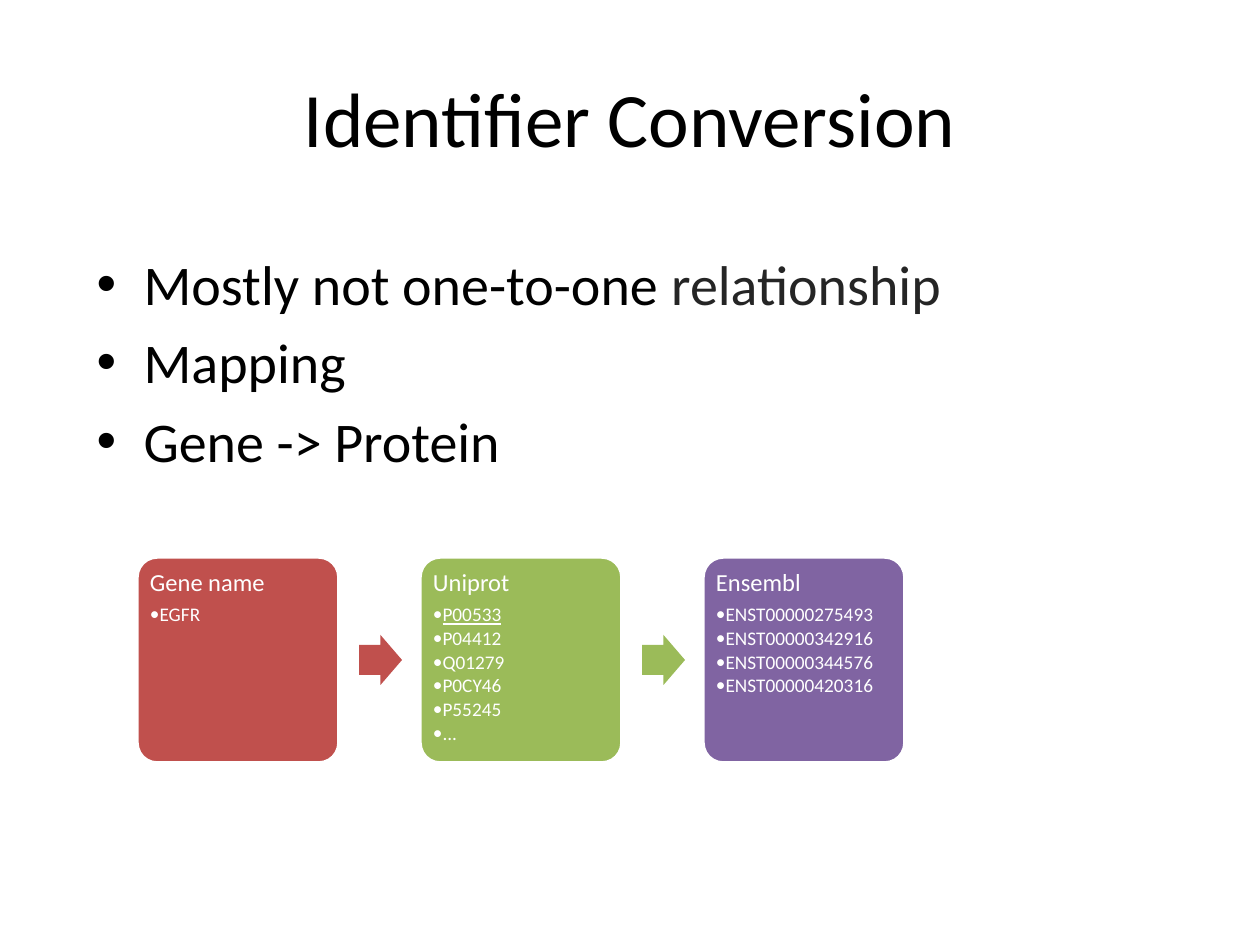
from lxml import etree
from pptx import Presentation
from pptx.dml.color import RGBColor
from pptx.enum.shapes import MSO_SHAPE
from pptx.enum.text import MSO_ANCHOR, PP_ALIGN
from pptx.oxml.ns import qn
from pptx.util import Pt

ROUND, ARROW = MSO_SHAPE.ROUNDED_RECTANGLE, MSO_SHAPE.RIGHT_ARROW
TOP, MIDDLE = MSO_ANCHOR.TOP, MSO_ANCHOR.MIDDLE
LEFT, CENTER = PP_ALIGN.LEFT, PP_ALIGN.CENTER
SCALE = 914400 / 126
FONT = "Calibri"
HEX = {"black": "000000", "gray": "252525", "white": "FFFFFF",
       "red": "C0504D", "green": "9BBB59", "purple": "8064A2"}

POINTS = [
    [("Mostly not one-to-one ", "black"), ("relationship", "gray")],
    [("Mapping", "black")],
    [("Gene -> Protein", "black")],
]
CARDS = [
    ("Gene name", "red", ["EGFR"]),
    ("Uniprot", "green",
     ["P00533", "P04412", "Q01279", "P0CY46", "P55245", "..."]),
    ("Ensembl", "purple",
     ["ENST00000275493", "ENST00000342916",
      "ENST00000344576", "ENST00000420316"]),
]
LINKED = {"P00533"}


def px(n):
    return round(n * SCALE)


def rgb(name):
    return RGBColor.from_string(HEX[name])


def apply(item, **values):
    for key, value in values.items():
        setattr(item, key, value)


def place(shape, box):
    keys = ("left", "top", "width", "height")
    apply(shape, **dict(zip(keys, map(px, box))))


def add_run(para, text, size, color, **values):
    run = para.add_run()
    run.text = text
    apply(run.font, name=FONT, size=Pt(size), **values)
    run.font.color.rgb = rgb(color)


def next_para(frame, index):
    return frame.add_paragraph() if index else frame.paragraphs[0]


def add_bullet(para, indent, mark, font):
    props = para._p.get_or_add_pPr()
    props.set("marL", str(px(indent)))
    props.set("indent", str(-px(indent)))
    etree.SubElement(props, qn("a:buFont")).set("typeface", font)
    etree.SubElement(props, qn("a:buChar")).set("char", mark)


def add_shape(slide, kind, box, color, adjust):
    shape = slide.shapes.add_shape(kind, *map(px, box))
    shape.shadow.inherit = False
    shape.fill.solid()
    shape.fill.fore_color.rgb = rgb(color)
    shape.line.fill.background()
    for i, value in enumerate(adjust):
        shape.adjustments[i] = value
    return shape


def add_title(slide, box):
    title = slide.shapes.title
    place(title, box)
    title.text_frame.vertical_anchor = MIDDLE
    para = title.text_frame.paragraphs[0]
    para.alignment = CENTER
    add_run(para, "Identifier Conversion", 44, "black")


def add_list(slide, box):
    body = slide.placeholders[1]
    place(body, box)
    for i, parts in enumerate(POINTS):
        para = next_para(body.text_frame, i)
        add_bullet(para, 47, "•", "Arial")
        para.space_before = Pt(6.4 if i else 0)
        for text, color in parts:
            add_run(para, text, 32, color)


def add_card(slide, box, head, color, items):
    left, top, width, height = box
    card = add_shape(slide, ROUND, box, color, [0.1])
    card.line.color.rgb = rgb("white")
    card.line.width = Pt(2)
    # Heading and identifiers, inset from the card's edge
    inner = (left + 6, top + 6, width - 12, height - 12)
    frame = slide.shapes.add_textbox(*map(px, inner)).text_frame
    sides = ("left", "top", "right", "bottom")
    apply(frame, word_wrap=True, vertical_anchor=TOP,
          **{f"margin_{side}": px(7) for side in sides})
    for i, text in enumerate([head, *items]):
        para = next_para(frame, i)
        if i:
            add_bullet(para, 8, "••", FONT)
        apply(para, level=min(i, 1), alignment=LEFT, line_spacing=0.9,
              space_after=Pt(1.65 if i else 4.9))
        add_run(para, text, 11 if i else 14, "white",
                underline=text in LINKED)


def add_flow(slide, box):
    left, top, width, height = box
    wide = 202
    step = (width - wide) // (len(CARDS) - 1)
    for i, (head, color, items) in enumerate(CARDS):
        x = left + i * step
        add_card(slide, (x, top, wide, height), head, color, items)
        # Arrow to the next card
        if i < len(CARDS) - 1:
            add_shape(slide, ARROW, (x + 222, top + (height - 50) // 2, 43, 50),
                      color, [0.6, 0.5])


def main():
    deck = Presentation()
    apply(deck, slide_width=px(1260), slide_height=px(945))
    slide = deck.slides.add_slide(deck.slide_layouts[1])
    add_title(slide, (63, 38, 1134, 157))
    add_list(slide, (84, 243, 1086, 223))
    add_flow(slide, (137, 557, 768, 206))
    deck.save("out.pptx")


if __name__ == "__main__":
    main()
